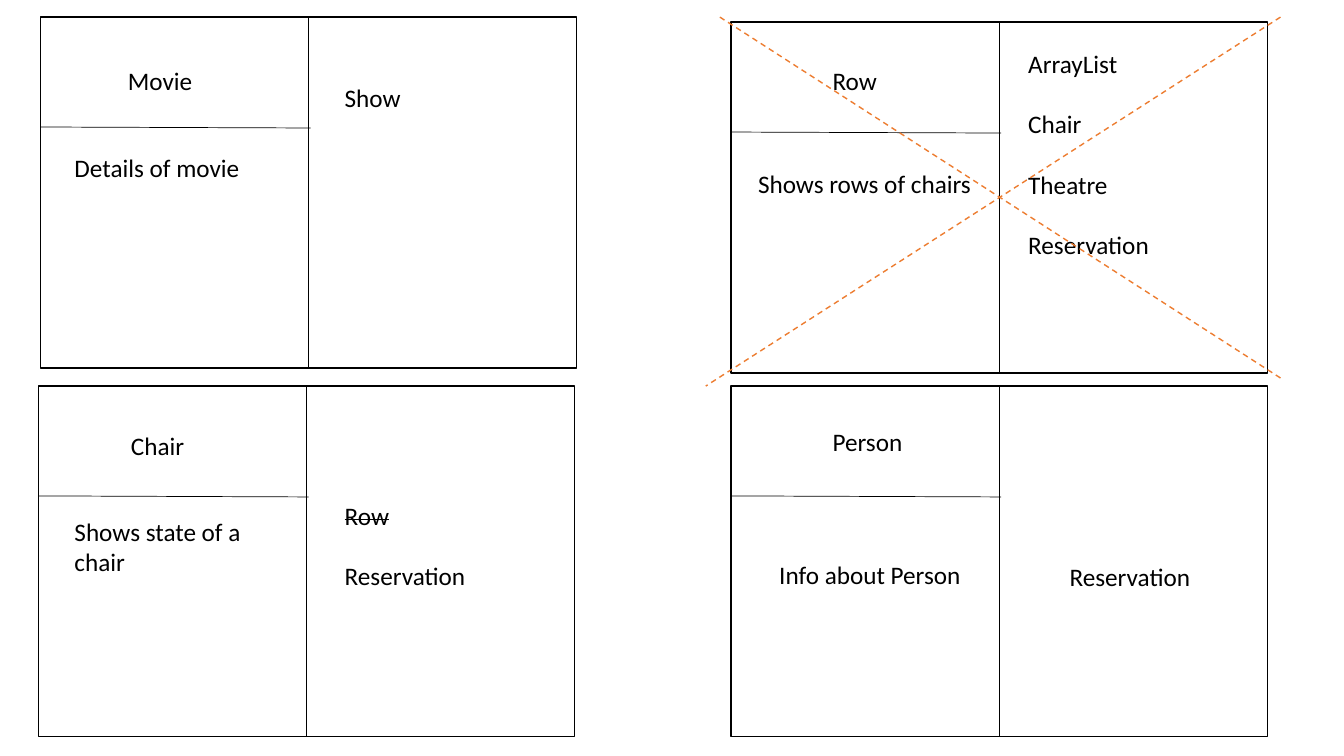
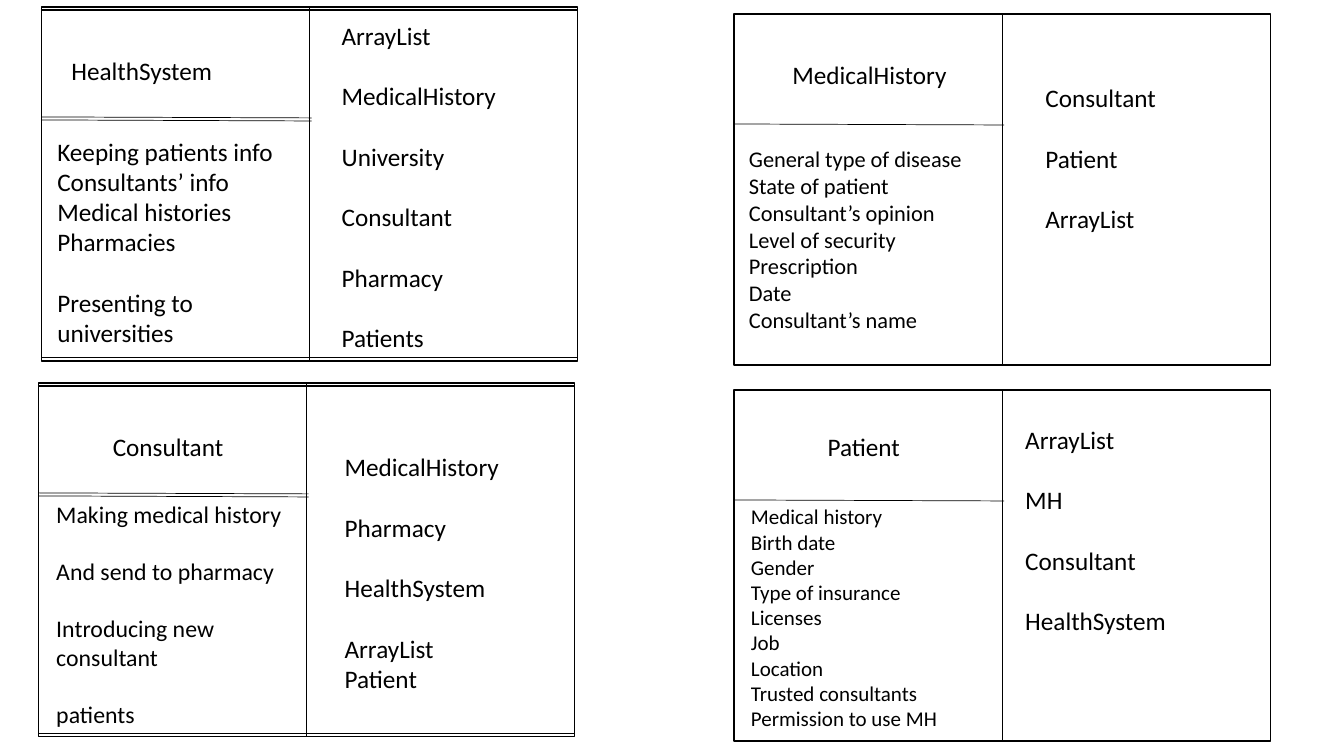
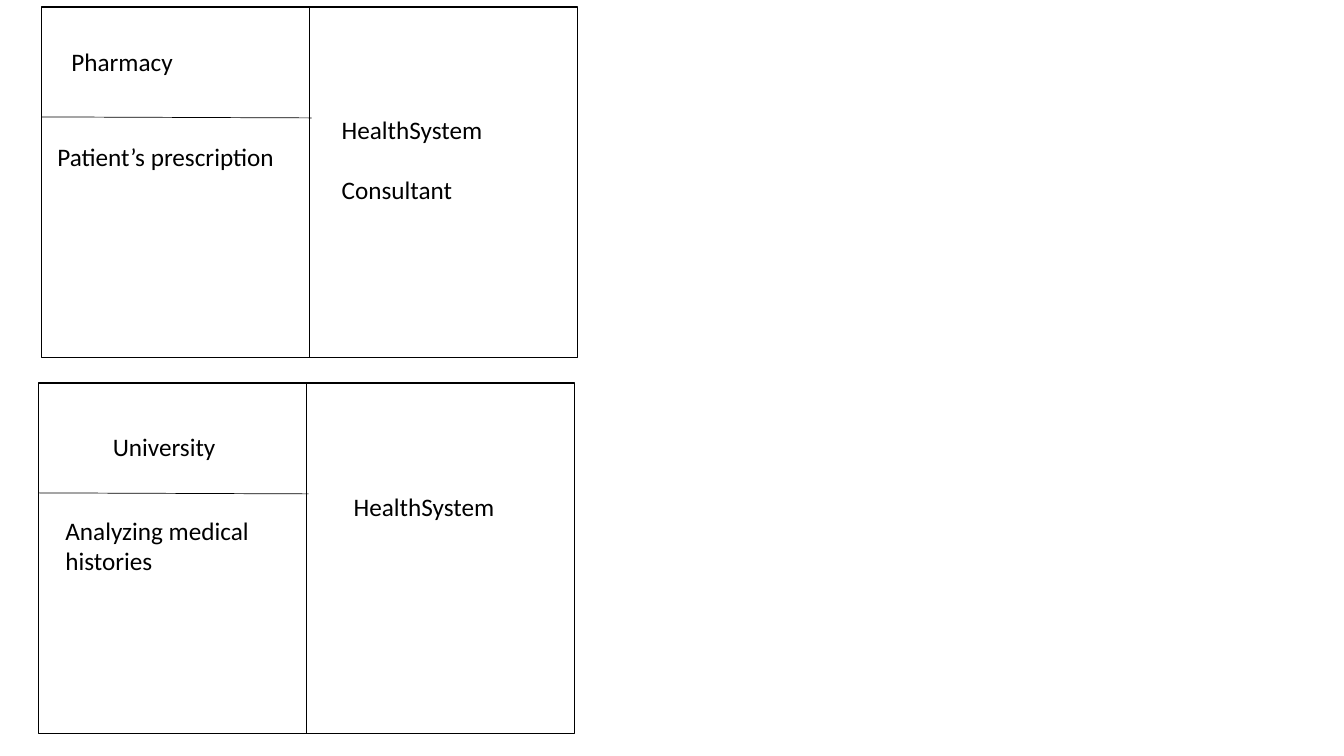
"""Build three pages of class cards: name, responsibilities and collaborators."""
import dataclasses
import typing

import lxml.etree
import pptx
import pptx.dml.color
import pptx.enum.dml
import pptx.enum.shapes
import pptx.enum.text
import pptx.oxml.ns
import pptx.slide
import pptx.util

Inches = pptx.util.Inches
Pt = pptx.util.Pt

BLACK = pptx.dml.color.RGBColor(0x00, 0x00, 0x00)
ORANGE = pptx.dml.color.RGBColor(0xED, 0x7D, 0x31)
FONT = "Calibri"
LINE_HEIGHT = 1.21
GAP_HEIGHT = 1.2
BOX_PADDING = 0.1

CARD_WIDTH = 5.32
CARD_HEIGHT = 3.48
COLUMN_WIDTH = CARD_WIDTH / 2
HEADER_HEIGHT = 1.09
OVERHANG = 0.02
SLOPE = 0.01


class Point(typing.NamedTuple):
    """A place on the page, in inches."""

    left: float
    top: float


@dataclasses.dataclass(frozen=True)
class Line:
    """One paragraph, optionally set apart from the one above or struck out."""

    text: str
    gap: bool = False
    struck: bool = False


@dataclasses.dataclass(frozen=True)
class Note:
    """A text box on a card; extra_lines makes room for wrapped lines."""

    left: float
    top: float
    width: float
    lines: list[Line]
    size: int = 18
    extra_lines: int = 0

    def height(self) -> float:
        """Return the box height in inches."""
        count = len(self.lines) + sum(line.gap for line in self.lines) + self.extra_lines
        return BOX_PADDING + count * self.size * LINE_HEIGHT / 72


@dataclasses.dataclass(frozen=True)
class Stroke:
    """A straight line between two points."""

    start: Point
    end: Point
    color: pptx.dml.color.RGBColor = BLACK
    weight: float = 0.5
    dashed: bool = False


@dataclasses.dataclass(frozen=True)
class CardPage:
    """Everything that stands on one page."""

    cards: list[Point]
    notes: list[Note]
    strokes: list[Stroke] = dataclasses.field(default_factory=list)


def tight(*texts: str) -> list[Line]:
    """Return lines that follow each other directly."""
    return [Line(text) for text in texts]


def spaced(*texts: str) -> list[Line]:
    """Return lines with a gap between each two."""
    return [Line(text, gap=index > 0) for index, text in enumerate(texts)]


def draw_stroke(shapes: typing.Any, stroke: Stroke) -> None:
    """Draw one straight line without a shadow."""
    connector = shapes.add_connector(
        pptx.enum.shapes.MSO_CONNECTOR.STRAIGHT,
        Inches(stroke.start.left), Inches(stroke.start.top),
        Inches(stroke.end.left), Inches(stroke.end.top),
    )
    connector.line.color.rgb = stroke.color
    connector.line.width = Pt(stroke.weight)
    if stroke.dashed:
        connector.line.dash_style = pptx.enum.dml.MSO_LINE.DASH
    lxml.etree.SubElement(connector._element.spPr, pptx.oxml.ns.qn("a:effectLst"))


def draw_card(page: pptx.slide.Slide, corner: Point) -> None:
    """Draw a card frame, its column divider and its header rule as a group."""
    left, top = corner
    shapes = page.shapes.add_group_shape().shapes
    frame = shapes.add_shape(
        pptx.enum.shapes.MSO_SHAPE.RECTANGLE,
        Inches(left), Inches(top), Inches(CARD_WIDTH), Inches(CARD_HEIGHT),
    )
    frame.shadow.inherit = False
    frame.fill.background()
    frame.line.color.rgb = BLACK
    frame.line.width = Pt(1)
    middle = left + COLUMN_WIDTH
    rule = top + HEADER_HEIGHT
    draw_stroke(shapes, Stroke(Point(middle, top), Point(middle, top + CARD_HEIGHT)))
    draw_stroke(shapes, Stroke(Point(left, rule), Point(middle + OVERHANG, rule + SLOPE)))


def draw_note(page: pptx.slide.Slide, note: Note) -> None:
    """Write the lines of a note into a text box."""
    box = page.shapes.add_textbox(
        Inches(note.left), Inches(note.top), Inches(note.width), Inches(note.height())
    )
    frame = box.text_frame
    frame.word_wrap = True
    frame.auto_size = pptx.enum.text.MSO_AUTO_SIZE.SHAPE_TO_FIT_TEXT
    for index, line in enumerate(note.lines):
        para = frame.add_paragraph() if index else frame.paragraphs[0]
        if line.gap:
            para.space_before = Pt(note.size * GAP_HEIGHT)
        span = para.add_run()
        span.text = line.text
        span.font.name = FONT
        span.font.size = Pt(note.size)
        span.font.color.rgb = BLACK
        if line.struck:
            span._r.get_or_add_rPr().set("strike", "sngStrike")


def draw_page(deck: typing.Any, content: CardPage) -> None:
    """Add one page with its cards, notes and strokes."""
    blank_layout = deck.slide_layouts[6]
    page = deck.slides.add_slide(blank_layout)
    for corner in content.cards:
        draw_card(page, corner)
    for note in content.notes:
        draw_note(page, note)
    for stroke in content.strokes:
        draw_stroke(page.shapes, stroke)


CINEMA = CardPage(
    cards=[Point(0.4, 0.17), Point(7.25, 0.22), Point(0.38, 3.83), Point(7.25, 3.83)],
    notes=[
        Note(1.17, 0.6, 1.03, tight("Movie")),
        Note(0.64, 1.46, 2.22, tight("Details of movie")),
        Note(3.32, 0.77, 2.19, tight("Show")),
        Note(8.16, 0.6, 1.03, tight("Row")),
        Note(7.42, 1.62, 2.4, tight("Shows rows of chairs")),
        Note(10.1, 0.43, 2.3, spaced("ArrayList", "Chair", "Theatre", "Reservation")),
        Note(1.2, 4.22, 1.03, tight("Chair")),
        Note(0.64, 5.07, 2.22, tight("Shows state of a chair"), extra_lines=1),
        Note(3.32, 4.91, 2.19, [Line("Row", struck=True), Line("Reservation", gap=True)]),
        Note(8.16, 4.18, 1.03, tight("Person")),
        Note(7.63, 5.5, 2.22, tight("Info about Person")),
        Note(10.51, 5.52, 2.19, tight("Reservation")),
    ],
    strokes=[
        Stroke(Point(12.7, 0.17), Point(7, 3.83), ORANGE, 1, dashed=True),
        Stroke(Point(12.7, 3.75), Point(7.14, 0.17), ORANGE, 1, dashed=True),
    ],
)

LEFT_CARDS = [Point(0.41, 0.07), Point(0.38, 3.8)]

HEALTH = CardPage(
    cards=[
        Point(0.41, 0.1), Point(7.28, 0.14), Point(0.38, 3.83), Point(7.28, 3.87),
        *LEFT_CARDS,
    ],
    notes=[
        Note(0.61, 0.5, 2.33, tight("HealthSystem")),
        Note(0.47, 1.3, 2.45, [
            *tight("Keeping patients info", "Consultants’ info", "Medical histories",
                   "Pharmacies"),
            Line("Presenting to universities", gap=True),
        ], extra_lines=2),
        Note(3.29, 0.15, 2.25, spaced(
            "ArrayList", "MedicalHistory", "University", "Consultant", "Pharmacy",
            "Patients")),
        Note(7.76, 0.54, 1.9, tight("MedicalHistory")),
        Note(7.33, 1.39, 2.45, tight(
            "General type of disease", "State of patient", "Consultant’s opinion",
            "Level of security", "Prescription", "Date", "Consultant’s name"), size=16),
        Note(10.27, 0.77, 2.17, spaced("Consultant", "Patient", "ArrayList")),
        Note(1.02, 4.23, 1.41, tight("Consultant")),
        Note(0.46, 4.91, 2.53, [
            *spaced("Making medical history", "And send to pharmacy", "Introducing new"),
            Line("consultant"),
            Line("patients", gap=True),
        ], size=17),
        Note(3.32, 4.43, 2.14, [
            *spaced("MedicalHistory", "Pharmacy", "HealthSystem", "ArrayList"),
            Line("Patient"),
        ]),
        Note(8.11, 4.23, 1.04, tight("Patient")),
        Note(7.35, 4.95, 2.68, tight(
            "Medical history", "Birth date", "Gender", "Type of insurance", "Licenses",
            "Job", "Location", "Trusted consultants", "Permission to use MH"),
            size=15, extra_lines=1),
        Note(10.07, 4.16, 2.42, spaced("ArrayList", "MH", "Consultant", "HealthSystem"),
             extra_lines=2),
    ],
)

PARTNERS = CardPage(
    cards=LEFT_CARDS,
    notes=[
        Note(0.61, 0.41, 2.33, tight("Pharmacy")),
        Note(0.47, 1.35, 2.45, tight("Patient’s prescription")),
        Note(3.29, 1.08, 2.25, spaced("HealthSystem", "Consultant")),
        Note(1.02, 4.23, 1.41, tight("University")),
        Note(0.55, 5.06, 2.39, tight("Analyzing medical histories"), extra_lines=1),
        Note(3.41, 4.83, 2.14, tight("HealthSystem")),
    ],
)


def main() -> None:
    """Build the deck and save it."""
    deck = pptx.Presentation()
    deck.slide_width = Inches(13.33)
    deck.slide_height = Inches(7.5)
    for content in (CINEMA, HEALTH, PARTNERS):
        draw_page(deck, content)
    deck.save("out.pptx")


main()
